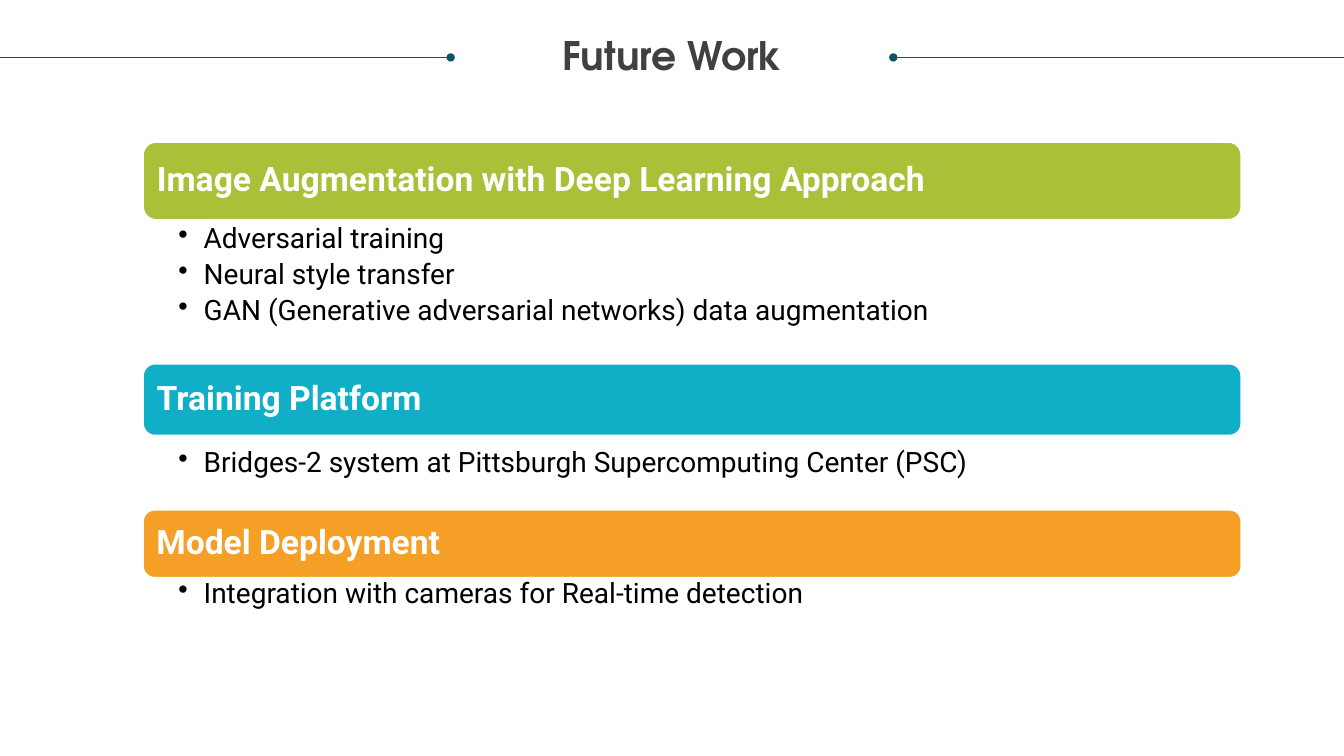
"""Build the Future Work slide."""
from lxml.etree import SubElement
from pptx import Presentation
from pptx.dml.color import RGBColor
from pptx.enum.shapes import MSO_CONNECTOR, MSO_SHAPE
from pptx.enum.text import MSO_ANCHOR, MSO_AUTO_SIZE, PP_ALIGN
from pptx.oxml.ns import qn
from pptx.util import Inches, Pt

WHITE = RGBColor(0xFF, 0xFF, 0xFF)
BLACK = RGBColor(0x00, 0x00, 0x00)
GREY = RGBColor(0x40, 0x40, 0x40)
TEAL = RGBColor(0x08, 0x57, 0x64)
GREEN = RGBColor(0xA9, 0xC0, 0x38)
CYAN = RGBColor(0x11, 0xAE, 0xC7)
ORANGE = RGBColor(0xF5, 0x9F, 0x26)

TITLE_FONT = "TeX Gyre Adventor"
BODY_FONT = "Roboto"
SLIDE_WIDTH = 13.33
RULE_Y = 0.57
RULE_LENGTH = 4.47
SECTION_LEFT = 1.42
SECTION_WIDTH = 10.89

# Heading, colour, bar top, bar height, list top, list height, items
SECTIONS = [
    ("Image Augmentation with Deep Learning Approach", GREEN, 1.41, 0.77, 2.2, 1.21,
     ["Adversarial training", "Neural style transfer",
      "GAN (Generative adversarial networks) data augmentation"]),
    ("Training Platform", CYAN, 3.61, 0.71, 4.42, 0.94,
     ["Bridges-2 system at Pittsburgh Supercomputing Center (PSC)"]),
    ("Model Deployment", ORANGE, 5.06, 0.67, 5.72, 0.94,
     ["Integration with cameras for Real-time detection"]),
]


def set_insets(frame, left, top, right, bottom):
    """Wrap the text and set its margins in inches."""
    frame.word_wrap = True
    frame.margin_left, frame.margin_top = Inches(left), Inches(top)
    frame.margin_right, frame.margin_bottom = Inches(right), Inches(bottom)


def style_paragraph(paragraph, font_name, size, colour, bold=False, align=PP_ALIGN.LEFT):
    """Apply the alignment, spacing and font of a paragraph."""
    paragraph.alignment = align
    paragraph.line_spacing = 0.9
    for run in paragraph.runs:
        run.font.name = font_name
        run.font.size = Pt(size)
        run.font.bold = bold
        run.font.color.rgb = colour


def add_title(slide, title):
    """Add the centred slide title."""
    box = slide.shapes.add_textbox(Inches(0.25), Inches(0.36), Inches(12.83), Inches(0.42))
    frame = box.text_frame
    set_insets(frame, 0, 0, 0, 0)
    frame.auto_size = MSO_AUTO_SIZE.SHAPE_TO_FIT_TEXT
    frame.text = title
    style_paragraph(frame.paragraphs[0], TITLE_FONT, 28, GREY, True, PP_ALIGN.CENTER)


def add_title_rule(slide, edge_x, dot_x):
    """Add a rule from the slide edge to a dot beside the title."""
    rule = slide.shapes.add_connector(
        MSO_CONNECTOR.STRAIGHT, Inches(edge_x), Inches(RULE_Y), Inches(dot_x), Inches(RULE_Y))
    rule.line.color.rgb = TEAL
    rule.line.width = Pt(0.5)
    SubElement(rule.line._get_or_add_ln(), qn("a:tailEnd"), type="oval")
    SubElement(rule._element.spPr, qn("a:effectLst"))


def add_heading_bar(slide, heading, colour, top, height):
    """Add a rounded bar that carries a section heading."""
    bar = slide.shapes.add_shape(
        MSO_SHAPE.ROUNDED_RECTANGLE, Inches(SECTION_LEFT), Inches(top),
        Inches(SECTION_WIDTH), Inches(height))
    bar.shadow.inherit = False
    bar.fill.solid()
    bar.fill.fore_color.rgb = colour
    bar.line.color.rgb = WHITE
    bar.line.width = Pt(1)
    frame = bar.text_frame
    set_insets(frame, 0.1, 0.1, 0.1, 0.1)
    frame.vertical_anchor = MSO_ANCHOR.MIDDLE
    frame.text = heading
    style_paragraph(frame.paragraphs[0], BODY_FONT, 24, WHITE, True)


def add_bullet_list(slide, items, top, height):
    """Add the bulleted items below a heading bar."""
    box = slide.shapes.add_textbox(
        Inches(SECTION_LEFT), Inches(top), Inches(SECTION_WIDTH), Inches(height))
    frame = box.text_frame
    set_insets(frame, 0.35, 0.03, 0.16, 0.03)
    frame.text = "\n".join(items)
    for paragraph in frame.paragraphs:
        properties = paragraph._p.get_or_add_pPr()
        properties.set("marL", str(Inches(0.25)))
        properties.set("indent", str(Inches(-0.25)))
        SubElement(properties, qn("a:buChar"), char="•")
        paragraph.level = 1
        paragraph.space_after = Pt(4)
        style_paragraph(paragraph, BODY_FONT, 20, BLACK)


def main():
    """Assemble and save the slide."""
    presentation = Presentation()
    presentation.slide_width = Inches(SLIDE_WIDTH)
    presentation.slide_height = Inches(7.5)
    slide = presentation.slides.add_slide(presentation.slide_layouts[6])
    add_title_rule(slide, SLIDE_WIDTH, SLIDE_WIDTH - RULE_LENGTH)
    add_title(slide, "Future Work")
    add_title_rule(slide, 0, RULE_LENGTH)
    for heading, colour, bar_top, bar_height, list_top, list_height, items in SECTIONS:
        add_heading_bar(slide, heading, colour, bar_top, bar_height)
        add_bullet_list(slide, items, list_top, list_height)
    presentation.save("out.pptx")


if __name__ == "__main__":
    main()
